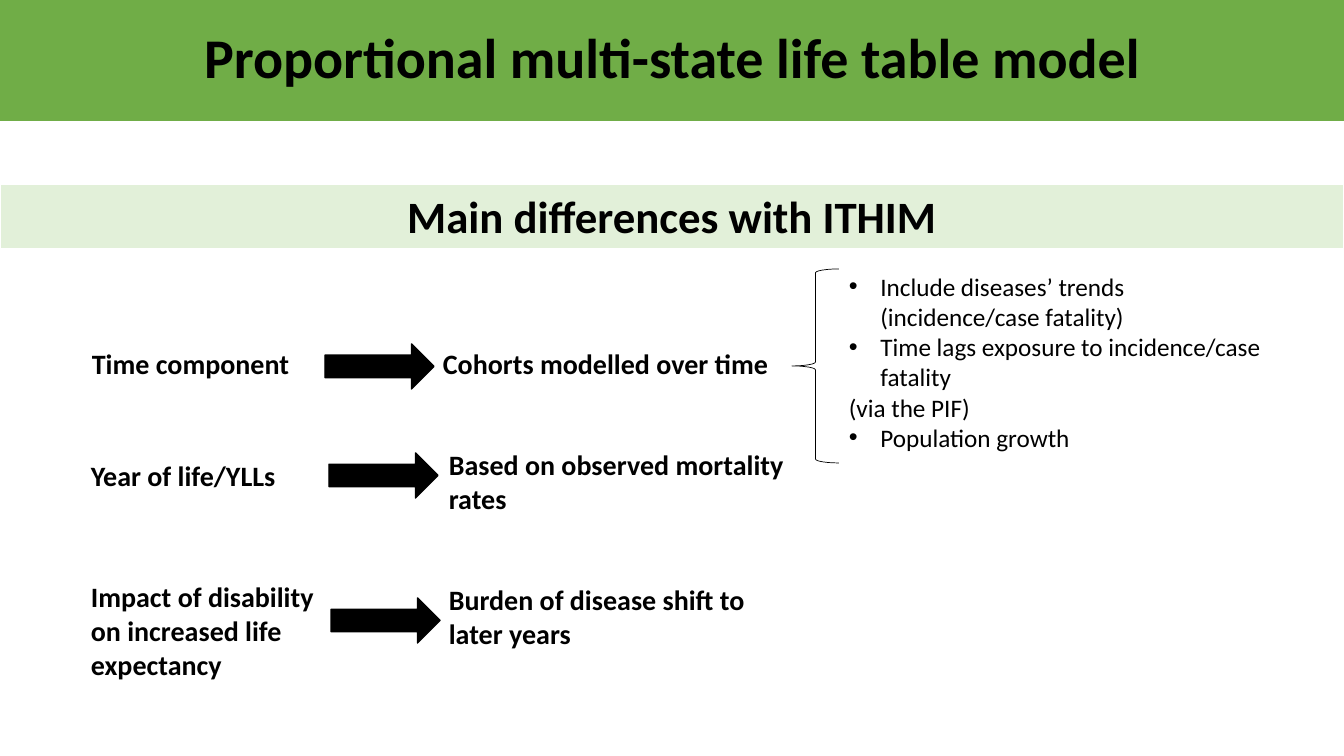
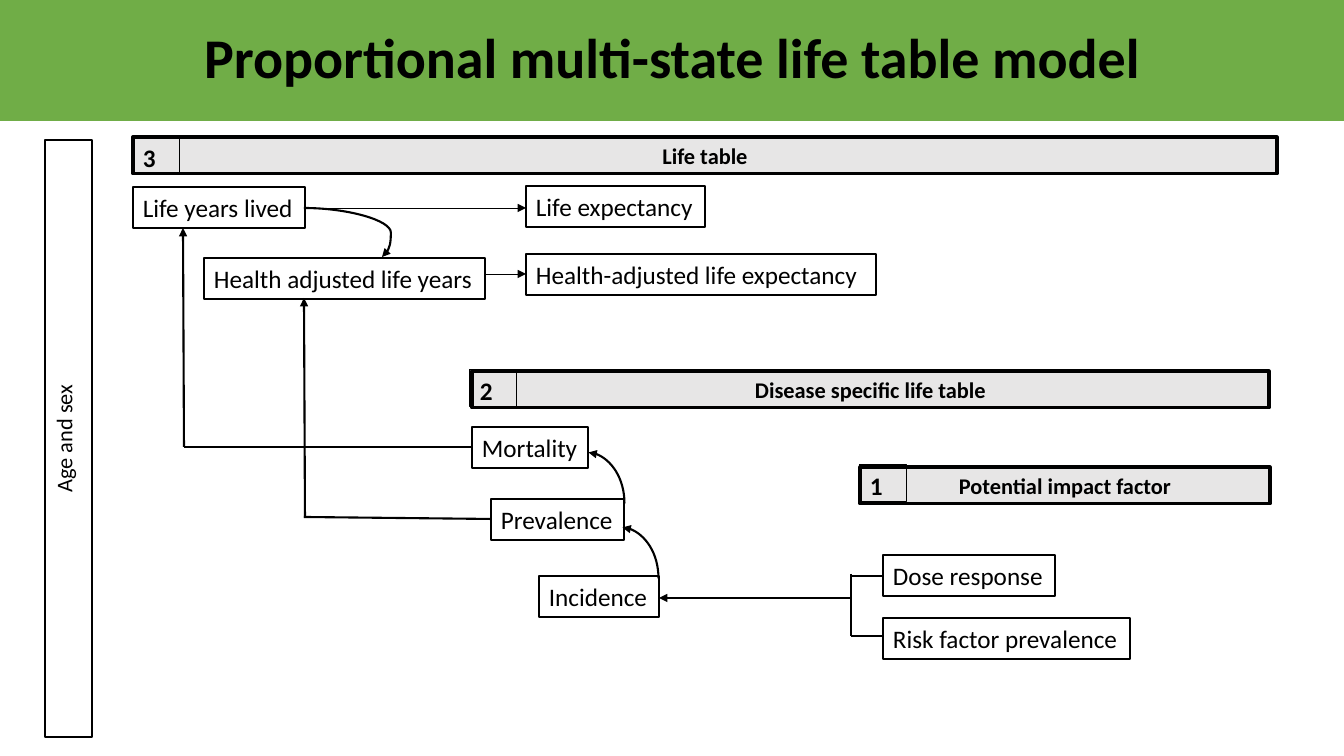
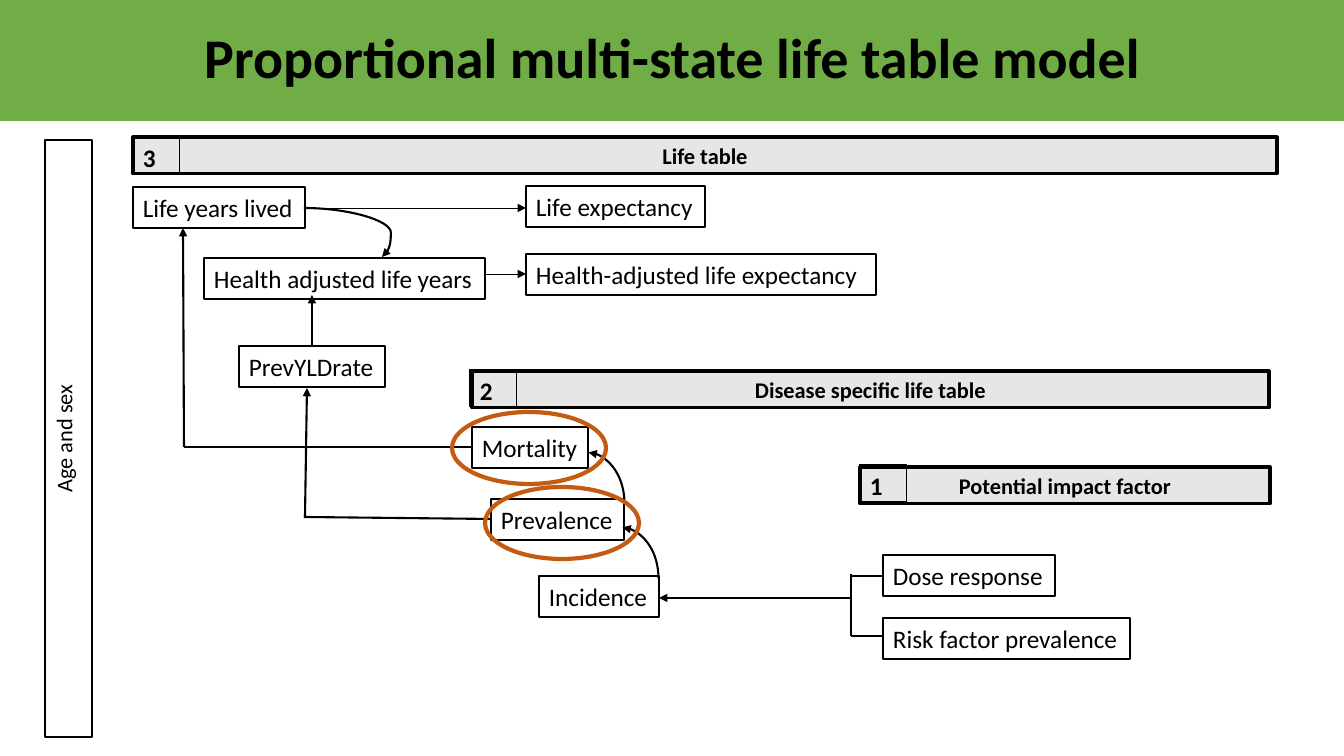
"""Builds three slides that explain the proportional multi-state life table model."""
from lxml import etree
from pptx import Presentation
from pptx import util as u
from pptx.dml import color
from pptx.enum import shapes, text
from pptx.oxml import ns

PIXEL = 914400 / 100.8
FONT = "Calibri"
TITLE = "Proportional multi-state life table model"
COLORS = {"green": "70AD47", "pale": "E2F0D9", "grey": "E7E6E6",
          "black": "000000", "white": "FFFFFF", "orange": "C55A11"}
RGB = {name: color.RGBColor.from_string(code) for name, code in COLORS.items()}
KIND = shapes.MSO_SHAPE
CURVE = shapes.MSO_CONNECTOR.CURVE
CENTER, LEFT = text.PP_ALIGN.CENTER, text.PP_ALIGN.LEFT
FIT, FIXED = text.MSO_AUTO_SIZE.SHAPE_TO_FIT_TEXT, text.MSO_AUTO_SIZE.NONE


def add_box(slide, kind, box, content="", size=18, bold=False, align=LEFT, wrap=True,
            fit=FIT, fill=None, line="black", weight=1):
    """Add a preset shape, or a text box when kind is None."""
    place = [round(length * PIXEL) for length in box]
    if kind is None:
        shape = slide.shapes.add_textbox(*place)
    else:
        shape = slide.shapes.add_shape(kind, *place)
        shape.shadow.inherit = False
        shape.line.color.rgb = RGB[line]
        shape.line.width = u.Pt(weight)
        if fill:
            shape.fill.solid()
            shape.fill.fore_color.rgb = RGB[fill]
        else:
            shape.fill.background()
    if content:
        frame = shape.text_frame
        frame.text = content
        frame.word_wrap = wrap
        frame.auto_size = fit
        frame.vertical_anchor = text.MSO_ANCHOR.TOP
        for paragraph in frame.paragraphs:
            paragraph.alignment = align
            paragraph.font.name = FONT
            paragraph.font.size = u.Pt(size)
            paragraph.font.bold = bold
            paragraph.font.color.rgb = RGB["black"]
    return shape


def add_line(slide, points, weight=1.5, arrow=False, kind=shapes.MSO_CONNECTOR.STRAIGHT):
    """Add a black connector between two points, with an optional arrowhead."""
    connector = slide.shapes.add_connector(kind, *[round(point * PIXEL) for point in points])
    connector.line.color.rgb = RGB["black"]
    connector.line.width = u.Pt(weight)
    properties = connector._element.spPr
    if arrow:
        outline = properties.find(ns.qn("a:ln"))
        etree.SubElement(outline, ns.qn("a:tailEnd"), type="triangle")
    etree.SubElement(properties, ns.qn("a:effectLst"))
    return properties


presentation = Presentation()
presentation.slide_width = round(1344 * PIXEL)
presentation.slide_height = round(756 * PIXEL)

for _ in range(3):
    slide = presentation.slides.add_slide(presentation.slide_layouts[5])
    title = slide.shapes.title
    title.left, title.top = 0, 0
    title.width, title.height = presentation.slide_width, round(121 * PIXEL)
    title.fill.solid()
    title.fill.fore_color.rgb = RGB["green"]
    title.text_frame.text = TITLE
    title.text_frame.auto_size = FIXED
    title.text_frame.vertical_anchor = text.MSO_ANCHOR.MIDDLE
    paragraph = title.text_frame.paragraphs[0]
    paragraph.alignment = CENTER
    paragraph.line_spacing = 0.9
    paragraph.font.name = FONT
    paragraph.font.size = u.Pt(40)
    paragraph.font.bold = True
    paragraph.font.color.rgb = RGB["black"]

differences, *diagrams = presentation.slides

add_box(differences, KIND.RECTANGLE, (0, 184, 1344, 65), "Main differences with ITHIM",
        size=32, bold=True, align=CENTER, fill="pale", line="white")
topics = [
    ("Time component", (82, 342, 220, 44), False),
    ("Cohorts modelled over time", (433, 342, 349, 44), False),
    ("Year of life/YLLs", (81, 454, 207, 44), False),
    ("Based on observed mortality rates", (439, 443, 369, 78), True),
    ("Impact of disability on increased life expectancy", (81, 575, 250, 112), True),
    ("Burden of disease shift to later years", (439, 578, 369, 78), True),
]
for content, box, wrap in topics:
    add_box(differences, None, box, content, size=20, bold=True, wrap=wrap)
for left, top in [(325, 344), (329, 453), (331, 598)]:
    add_box(differences, KIND.RIGHT_ARROW, (left, top, 109, 45), fill="black")
add_box(differences, KIND.LEFT_BRACE, (792, 269, 47, 194), weight=0.5)

details = ["Include diseases’ trends (incidence/case fatality)",
           "Time lags exposure to incidence/case fatality",
           "(via the PIF)", "Population growth"]
detail_box = add_box(differences, None, (839, 266, 459, 224), "\n".join(details))
for paragraph in detail_box.text_frame.paragraphs:
    if not paragraph.text.startswith("("):
        properties = paragraph._p.get_or_add_pPr()
        properties.set("marL", "285750")
        properties.set("indent", "-285750")
        bullet_font = etree.Element(ns.qn("a:buFont"), typeface="Arial")
        bullet = etree.Element(ns.qn("a:buChar"), char="•")
        default_run = properties.find(ns.qn("a:defRPr"))
        default_run.addprevious(bullet_font)
        default_run.addprevious(bullet)

labels = [
    ("Life years lived", 133, 187, 172),
    ("Health adjusted life years", 204, 258, 281),
    ("Life expectancy", 526, 186, 179),
    ("Health-adjusted life expectancy", 526, 254, 350),
    ("Mortality", 472, 427, 116),
    ("Prevalence", 491, 499, 133),
    ("Incidence", 539, 576, 120),
    ("Dose response", 883, 555, 172),
    ("Risk factor prevalence", 883, 618, 247),
]
bands = [
    ("Life table", (133, 137, 1144, 37), "3", (133, 137)),
    ("Disease specific life table", (472, 371, 797, 37), "2", (470, 370)),
    ("Potential impact factor", (860, 467, 410, 37), "1", (860, 465)),
]
plain_lines = [(883, 576, 851, 576), (883, 636, 851, 636), (851, 574, 851, 636),
               (472, 447, 184, 447), (491, 519, 304, 517)]
arrows = [(850, 598, 659, 598), (184, 447, 183, 228)]
thin_arrows = [(305, 208, 526, 208), (485, 274, 526, 274)]
rate_label = ("PrevYLDrate", 239, 346, 146)
direct_arrows = [(305, 518, 304, 298)]
rate_arrows = [(305, 518, 307, 388), (312, 346, 312, 295)]

for slide, extra_labels, extra_arrows, circles in [
        (diagrams[0], [], direct_arrows, []),
        (diagrams[1], [rate_label], rate_arrows, [(452, 412), (485, 487)])]:
    for content, left, top, width in labels + extra_labels:
        add_box(slide, KIND.RECTANGLE, (left, top, width, 41), content, wrap=False, fill="white")
    for content, band, number, corner in bands:
        add_box(slide, KIND.RECTANGLE, band, content, size=16, bold=True, align=CENTER,
                fill="grey", weight=2.25)
        add_box(slide, KIND.RECTANGLE, (*corner, 47, 37), number, bold=True, fit=FIXED,
                weight=0.75)
    strata = add_box(slide, KIND.RECTANGLE, (45, 140, 47, 597), "Age and sex", size=16,
                     align=CENTER, fill="white")
    strata.text_frame._txBody.bodyPr.set("vert", "vert270")

    for points in plain_lines:
        add_line(slide, points)
    for points in arrows + extra_arrows:
        add_line(slide, points, arrow=True)
    for points in thin_arrows:
        add_line(slide, points, weight=0.5, arrow=True)
    for points in [(615, 571, 666, 535), (581, 496, 632, 460)]:
        properties = add_line(slide, points, arrow=True, kind=CURVE)
        properties.find(ns.qn("a:xfrm")).set("rot", "16200000")
        properties.find(ns.qn("a:prstGeom")).set("prst", "curvedConnector2")
    properties = add_line(slide, (304, 208, 382, 257), arrow=True, kind=CURVE)
    adjustments = properties.find(ns.qn("a:prstGeom")).find(ns.qn("a:avLst"))
    etree.SubElement(adjustments, ns.qn("a:gd"), name="adj1", fmla="val 111400")

    for left, top in circles:
        add_box(slide, KIND.OVAL, (left, top, 154, 72), line="orange", weight=3)

presentation.save("out.pptx")
